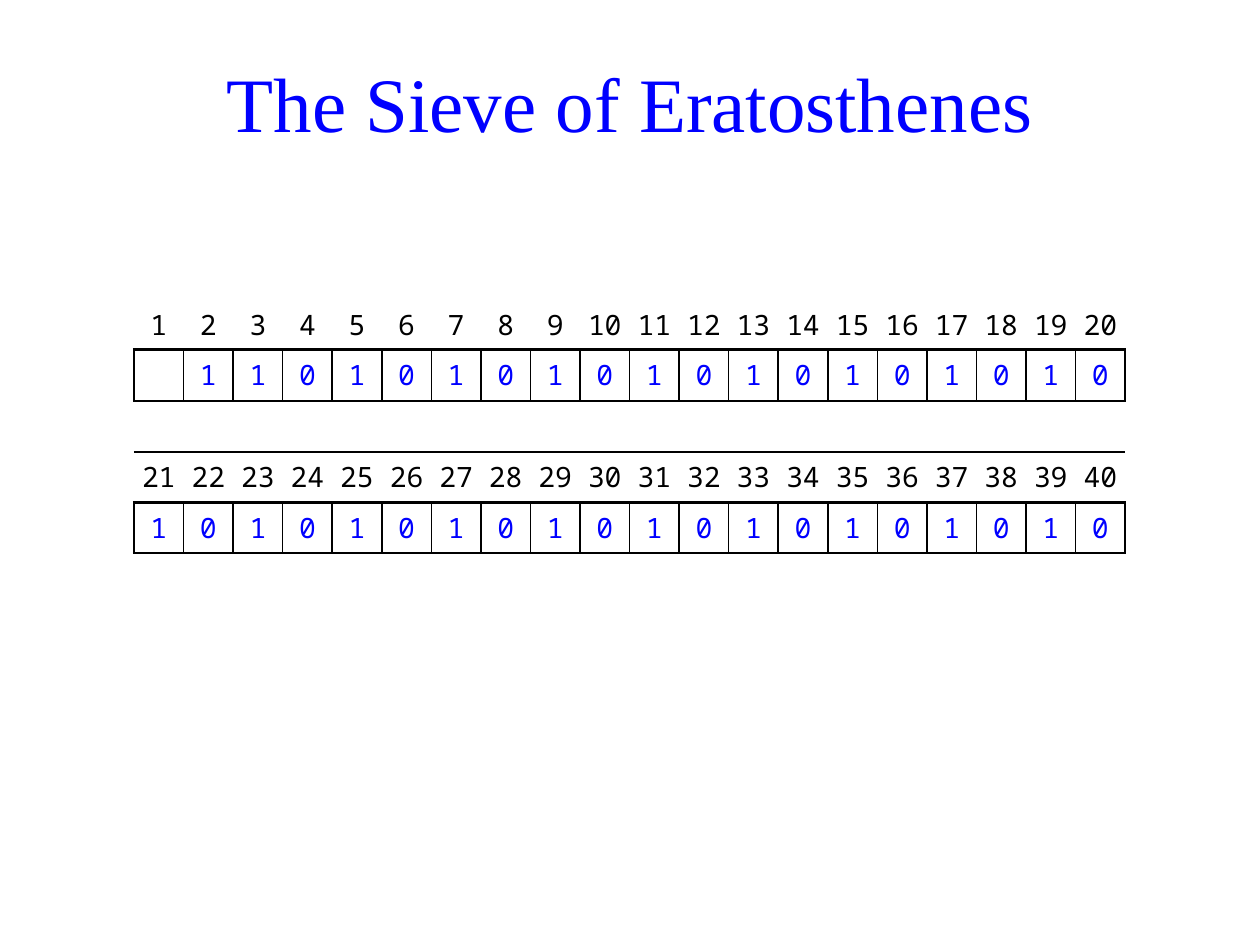
from lxml import etree
from pptx import Presentation
from pptx.dml.color import RGBColor
from pptx.enum.text import MSO_ANCHOR, PP_ALIGN
from pptx.oxml.ns import qn
from pptx.util import Pt

SCALE = 914400 / 126
CENTER = PP_ALIGN.CENTER
MIDDLE = MSO_ANCHOR.MIDDLE
BLACK = "000000"
BLUE = "0000FF"
PLAIN = "{2D5ABB26-0587-4C30-8999-92F81FD0307C}"
COLS = 20
LABELS = (0, 3)
BITS = (1, 4)
GAP = 2


def px(n):
    return round(n * SCALE)


def color(code):
    return RGBColor.from_string(code)


def style(frame, font, size, code):
    for par in frame.paragraphs:
        par.alignment = CENTER
        for run in par.runs:
            run.font.name = font
            run.font.size = Pt(size)
            run.font.color.rgb = color(code)


def add_title(slide, text):
    title = slide.shapes.title
    title.left, title.top = px(59), px(27)
    title.width, title.height = px(1142), px(149)
    frame = title.text_frame
    frame.text = text
    frame.vertical_anchor = MIDDLE
    style(frame, "Times New Roman", 44, BLUE)


def add_edge(cell, side, width):
    props = cell._tc.get_or_add_tcPr()
    line = etree.SubElement(props, qn("a:ln" + side), w=str(Pt(width)))
    fill = etree.SubElement(line, qn("a:solidFill"))
    etree.SubElement(fill, qn("a:srgbClr"), val=BLACK)


def set_edges(cell, row, col):
    if row in BITS:
        add_edge(cell, "L", 1 if col else 1.5)
        add_edge(cell, "R", 1 if col < COLS - 1 else 1.5)
    if row in BITS or row == GAP:
        add_edge(cell, "T", 1.5)
    if row in BITS or row in LABELS:
        add_edge(cell, "B", 1.5)


def set_cell(cell, text, code):
    cell.margin_left = cell.margin_right = 0
    cell.margin_top = cell.margin_bottom = px(6.3)
    cell.vertical_anchor = MIDDLE
    cell.fill.background()
    cell.text_frame.text = text
    style(cell.text_frame, "Noto Sans Mono", 16, code)


def entry(row, col):
    if row == GAP:
        return ""
    num = col + 1 + (COLS if row > GAP else 0)
    if row in LABELS:
        return str(num)
    if num == 1:
        return ""
    return "1" if num == 2 or num % 2 else "0"


def add_sieve(slide):
    frame = slide.shapes.add_table(5, COLS, px(134), px(299), px(992), px(248))
    table = frame.table
    table.first_row = table.horz_banding = False
    table._tbl.tblPr.find(qn("a:tableStyleId")).text = PLAIN
    for row in range(5):
        for col in range(COLS):
            cell = table.cell(row, col)
            set_edges(cell, row, col)
            set_cell(cell, entry(row, col), BLUE if row in BITS else BLACK)


def main():
    deck = Presentation()
    deck.slide_width, deck.slide_height = px(1260), px(945)
    slide = deck.slides.add_slide(deck.slide_layouts[5])
    add_title(slide, "The Sieve of Eratosthenes")
    add_sieve(slide)
    deck.save("out.pptx")


if __name__ == "__main__":
    main()
